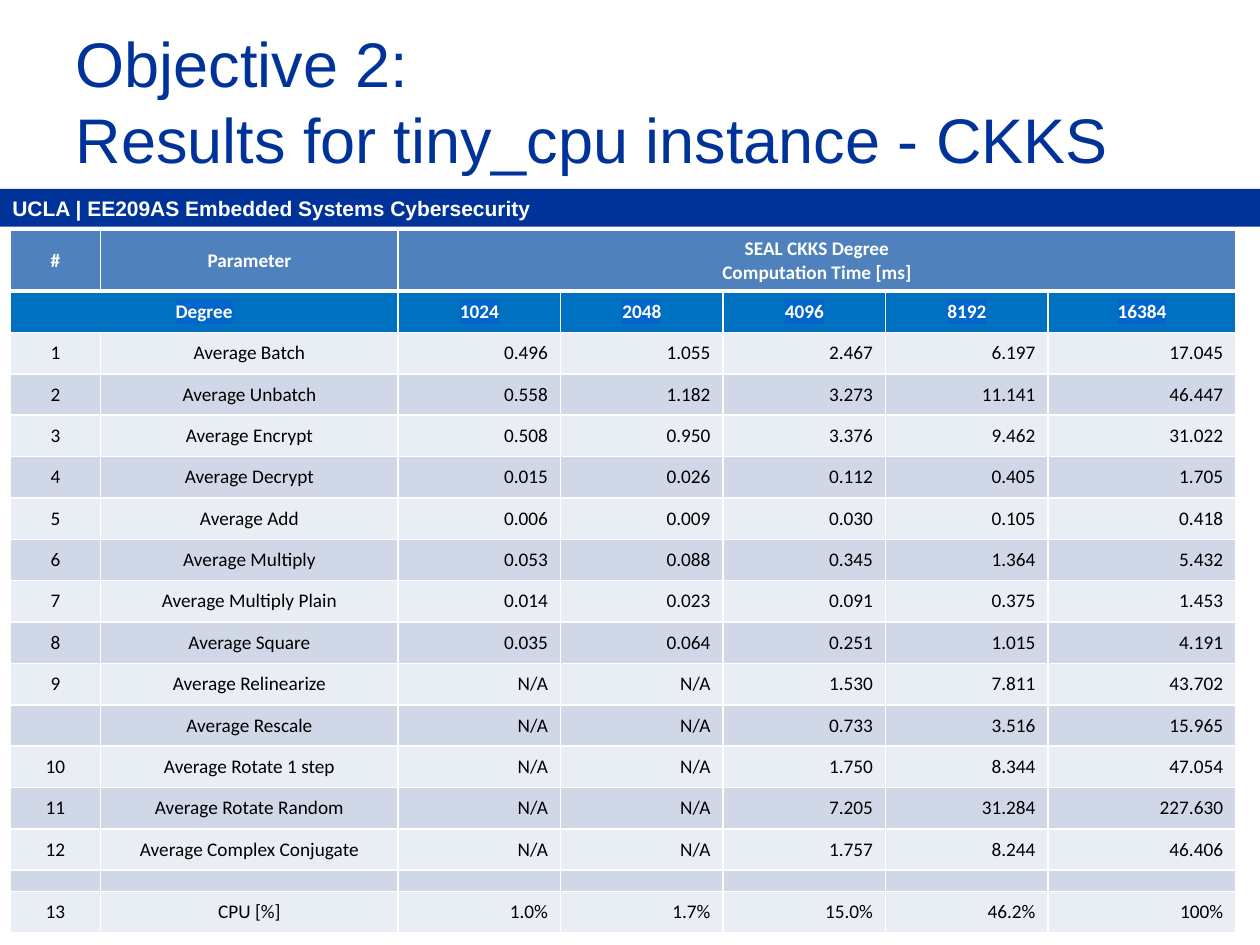
from lxml.etree import SubElement
from pptx import Presentation
from pptx.dml.color import RGBColor
from pptx.enum.shapes import MSO_SHAPE
from pptx.enum.text import MSO_ANCHOR, MSO_AUTO_SIZE, PP_ALIGN
from pptx.oxml.ns import qn
from pptx.util import Inches, Pt


def color(value):
    return RGBColor.from_string(value)


def add_span(para, text, font, size, tint, bold=False):
    span = para.add_run()
    span.text = text
    span.font.name = font
    span.font.size = Pt(size)
    span.font.bold = bold
    span.font.color.rgb = color(tint)
    return span


deck = Presentation()
deck.slide_width = Inches(10)
deck.slide_height = Inches(7.5)
page = deck.slides.add_slide(deck.slide_layouts[5])

# Title
title = page.shapes.title
title.left, title.top = Inches(0.5), Inches(0.17)
title.width, title.height = Inches(9), Inches(1.25)
title.text_frame.auto_size = MSO_AUTO_SIZE.NONE
title.text_frame.vertical_anchor = MSO_ANCHOR.MIDDLE
para = title.text_frame.paragraphs[0]
para.alignment = PP_ALIGN.LEFT
add_span(para, "Objective 2: ", "Arial", 36, "003399")
para.add_line_break()
add_span(para, "Results for tiny_cpu instance - CKKS", "Arial", 36, "003399")

# Course bar
bar = page.shapes.add_shape(MSO_SHAPE.RECTANGLE, Inches(0), Inches(1.5), Inches(10), Inches(0.3))
bar.shadow.inherit = False
bar.fill.solid()
bar.fill.fore_color.rgb = color("003399")
bar.line.fill.background()
bar.text_frame.word_wrap = True
bar.text_frame.vertical_anchor = MSO_ANCHOR.MIDDLE
para = bar.text_frame.paragraphs[0]
para.alignment = PP_ALIGN.LEFT
add_span(para, "UCLA | EE209AS Embedded Systems Cybersecurity", "Arial", 12, "FFFFFF", True)

# Table contents
rows = [
    ["#", "Parameter", "SEAL CKKS Degree\nComputation Time [ms]", "", "", "", ""],
    ["Degree", "", "1024", "2048", "4096", "8192", "16384"],
    ["1", "Average Batch", "0.496", "1.055", "2.467", "6.197", "17.045"],
    ["2", "Average Unbatch", "0.558", "1.182", "3.273", "11.141", "46.447"],
    ["3", "Average Encrypt", "0.508", "0.950", "3.376", "9.462", "31.022"],
    ["4", "Average Decrypt", "0.015", "0.026", "0.112", "0.405", "1.705"],
    ["5", "Average Add", "0.006", "0.009", "0.030", "0.105", "0.418"],
    ["6", "Average Multiply", "0.053", "0.088", "0.345", "1.364", "5.432"],
    ["7", "Average Multiply Plain", "0.014", "0.023", "0.091", "0.375", "1.453"],
    ["8", "Average Square", "0.035", "0.064", "0.251", "1.015", "4.191"],
    ["9", "Average Relinearize", "N/A", "N/A", "1.530", "7.811", "43.702"],
    ["", "Average Rescale", "N/A", "N/A", "0.733", "3.516", "15.965"],
    ["10", "Average Rotate 1 step", "N/A", "N/A", "1.750", "8.344", "47.054"],
    ["11", "Average Rotate Random", "N/A", "N/A", "7.205", "31.284", "227.630"],
    ["12", "Average Complex Conjugate", "N/A", "N/A", "1.757", "8.244", "46.406"],
    [""] * 7,
    ["13", "CPU [%]", "1.0%", "1.7%", "15.0%", "46.2%", "100%"],
]
spacer_row = 15

# Table grid
table = page.shapes.add_table(len(rows), 7, Inches(0.08), Inches(1.83), Inches(9.75), Inches(5.58)).table
for column, width in zip(table.columns, [0.72, 2.36, 1.29, 1.29, 1.29, 1.29, 1.49]):
    column.width = Inches(width)
for row in table.rows:
    row.height = Inches((5.58 - 0.48 - 0.17) / 15)
table.rows[0].height = Inches(0.48)
table.rows[spacer_row].height = Inches(0.17)
table.cell(0, 2).merge(table.cell(0, 6))
table.cell(1, 0).merge(table.cell(1, 1))

# Table cells
for r, texts in enumerate(rows):
    heading = r < 2
    for c, text in enumerate(texts):
        cell = table.cell(r, c)
        cell.vertical_anchor = MSO_ANCHOR.MIDDLE

        # White borders, thicker under the first row; they come before the fill
        props = cell._tc.get_or_add_tcPr()
        for side in ("lnL", "lnR", "lnT", "lnB"):
            thick = (r, side) in ((0, "lnB"), (1, "lnT"))
            border = SubElement(props, qn("a:" + side), w=str(Pt(3 if thick else 1)))
            paint = SubElement(border, qn("a:solidFill"))
            SubElement(paint, qn("a:srgbClr"), val="FFFFFF")
        cell.fill.solid()
        band = "E9EDF4" if r % 2 == 0 else "D0D8E8"
        cell.fill.fore_color.rgb = color(("4F81BD", "0070C0")[r] if heading else band)

        if not text:
            # Small empty line keeps the spacer row low
            cell.margin_top = cell.margin_bottom = 0
            SubElement(cell.text_frame.paragraphs[0]._p, qn("a:endParaRPr"), sz="400")
            continue
        for number, line in enumerate(text.split("\n")):
            para = cell.text_frame.add_paragraph() if number else cell.text_frame.paragraphs[0]
            para.alignment = PP_ALIGN.CENTER if heading or c < 2 else PP_ALIGN.RIGHT
            span = add_span(para, line, "Calibri", 11, "FFFFFF" if heading else "000000", heading)
            if r == 1:
                highlight = SubElement(span.font._element, qn("a:highlight"))
                SubElement(highlight, qn("a:srgbClr"), val="0066CC")
                span.font._element.find(qn("a:solidFill")).addnext(highlight)

deck.save("out.pptx")
